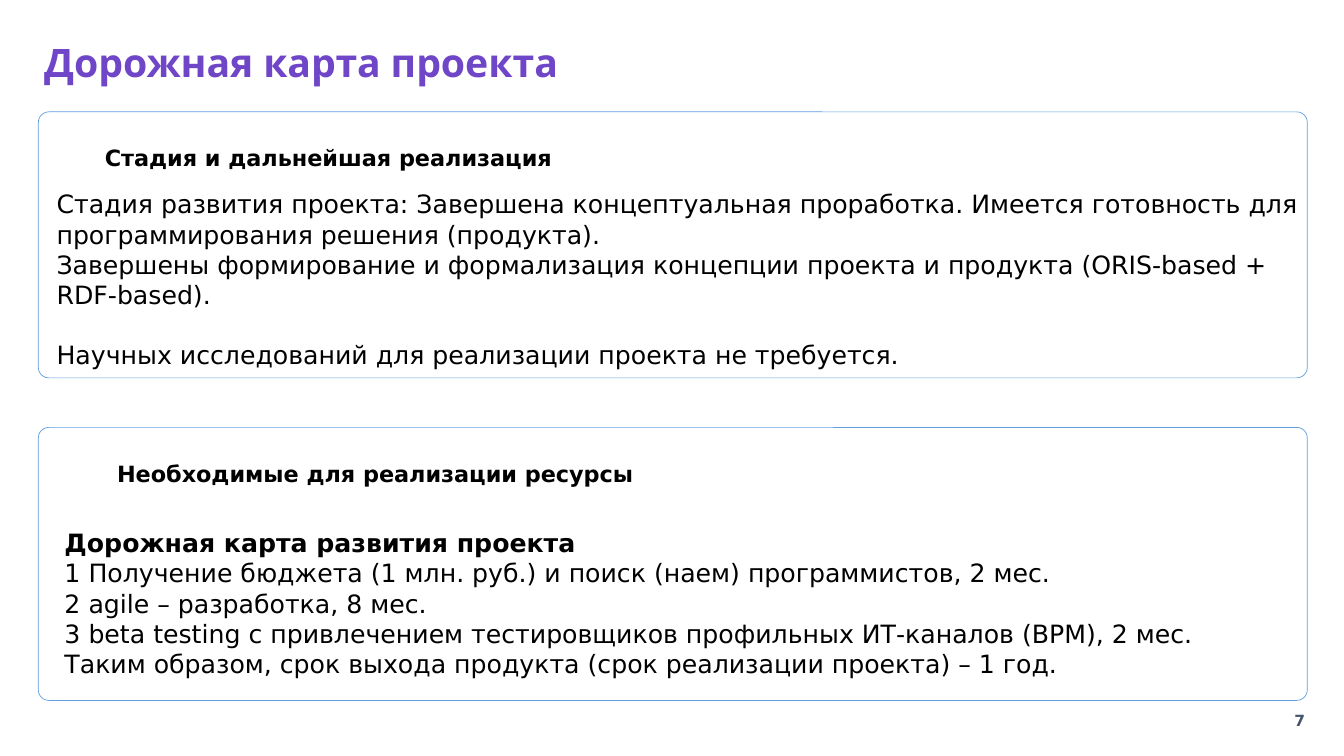
from pptx import Presentation
from pptx.dml.color import RGBColor
from pptx.enum.shapes import MSO_SHAPE as SHAPE
from pptx.enum.text import MSO_ANCHOR as ANCHOR, PP_ALIGN as ALIGN
from pptx.oxml.ns import qn
from pptx.util import Pt
from lxml import etree

BODY_FONT = "DejaVu Sans"
RADIUS = 7.5

STAGE = [
    "Стадия развития проекта: Завершена концептуальная проработка. "
    "Имеется готовность для программирования решения (продукта).",
    "Завершены формирование и формализация концепции проекта и продукта "
    "(ORIS-based + RDF-based).",
    "Научных исследований для реализации проекта не требуется.",
]
ROADMAP = [
    "Дорожная карта развития проекта",
    "1 Получение бюджета (1 млн. руб.) и поиск (наем) программистов, 2 мес.",
    "2 agile – разработка, 8 мес.",
    "3 beta testing с привлечением тестировщиков профильных ИТ-каналов (BPM), 2 мес.",
    "Таким образом, срок выхода продукта (срок реализации проекта) – 1 год.",
]


def rgb(hex_color):
    """Turn a hex string into a colour."""
    return RGBColor.from_string(hex_color)


def add_text(s, box, lines, size, color="000000", font=BODY_FONT, bold=False,
             spacing=None, margins=(0, 0.9, 0, 0)):
    """Add a wrapped text box with one paragraph per line and return its frame."""
    tf = s.shapes.add_textbox(*map(Pt, box)).text_frame
    tf.word_wrap = True
    tf.margin_left, tf.margin_top, tf.margin_right, tf.margin_bottom = map(Pt, margins)
    for i, line in enumerate(lines):
        p = tf.paragraphs[0] if i == 0 else tf.add_paragraph()
        p.text = line
        p.font.size = Pt(size)
        p.font.name = font
        p.font.bold = bold
        p.font.color.rgb = rgb(color)
        if spacing:
            p.line_spacing = spacing
    return tf


def add_title(s, box, text):
    """Add the slide title in the given box."""
    add_text(s, box, [text], 28, "6F46C7", "Karla", True, 0.9, (7.2, 3.6, 7.2, 3.6))


def add_panel(s, box, heading, heading_at, lines, body_at):
    """Add a rounded panel with its heading and body and return the body frame."""
    x, y, w, h = box
    sp = s.shapes.add_shape(SHAPE.ROUNDED_RECTANGLE, *map(Pt, box))
    sp.adjustments[0] = RADIUS / h
    sp.shadow.inherit = False
    sp.fill.solid()
    sp.fill.fore_color.rgb = rgb("FFFFFF")
    fill_color = sp.fill._xPr.find(qn("a:solidFill"))[0]
    etree.SubElement(fill_color, qn("a:alpha"), val="60000")
    sp.line.color.rgb = rgb("5F9FDF")
    sp.line.width = Pt(0.5)
    dx, dy = heading_at
    add_text(s, (x + dx, y + dy, w - dx, 24), [heading], 16, bold=True, spacing=1.25)
    dx, dy = body_at
    return add_text(s, (x + dx, y + dy, w - dx, h - dy), lines, 18)


def add_page_number(s, box, number):
    """Add the page number centred in the given box."""
    tf = add_text(s, box, [str(number)], 11, "44546A", bold=True,
                  margins=(7.2, 3.6, 7.2, 3.6))
    tf.vertical_anchor = ANCHOR.MIDDLE
    tf.paragraphs[0].alignment = ALIGN.CENTER


def main():
    """Build the roadmap slide and save it."""
    prs = Presentation()
    prs.slide_width, prs.slide_height = Pt(960), Pt(540)
    s = prs.slides.add_slide(prs.slide_layouts[6])
    add_title(s, (24.5, 27.4, 799, 32.4), "Дорожная карта проекта")
    stage = add_panel(s, (27.4, 79.9, 906.4, 190), "Стадия и дальнейшая реализация",
                      (47.5, 17.3), STAGE, (13, 54))
    stage.paragraphs[-1].space_before = Pt(21)
    roadmap = add_panel(s, (27.4, 305.3, 906.4, 195), "Необходимые для реализации ресурсы",
                        (56.2, 18), ROADMAP, (18.7, 70.6))
    roadmap.paragraphs[0].font.bold = True
    add_page_number(s, (906.5, 500.4, 43.9, 28.8), 7)
    prs.save("out.pptx")


if __name__ == "__main__":
    main()
